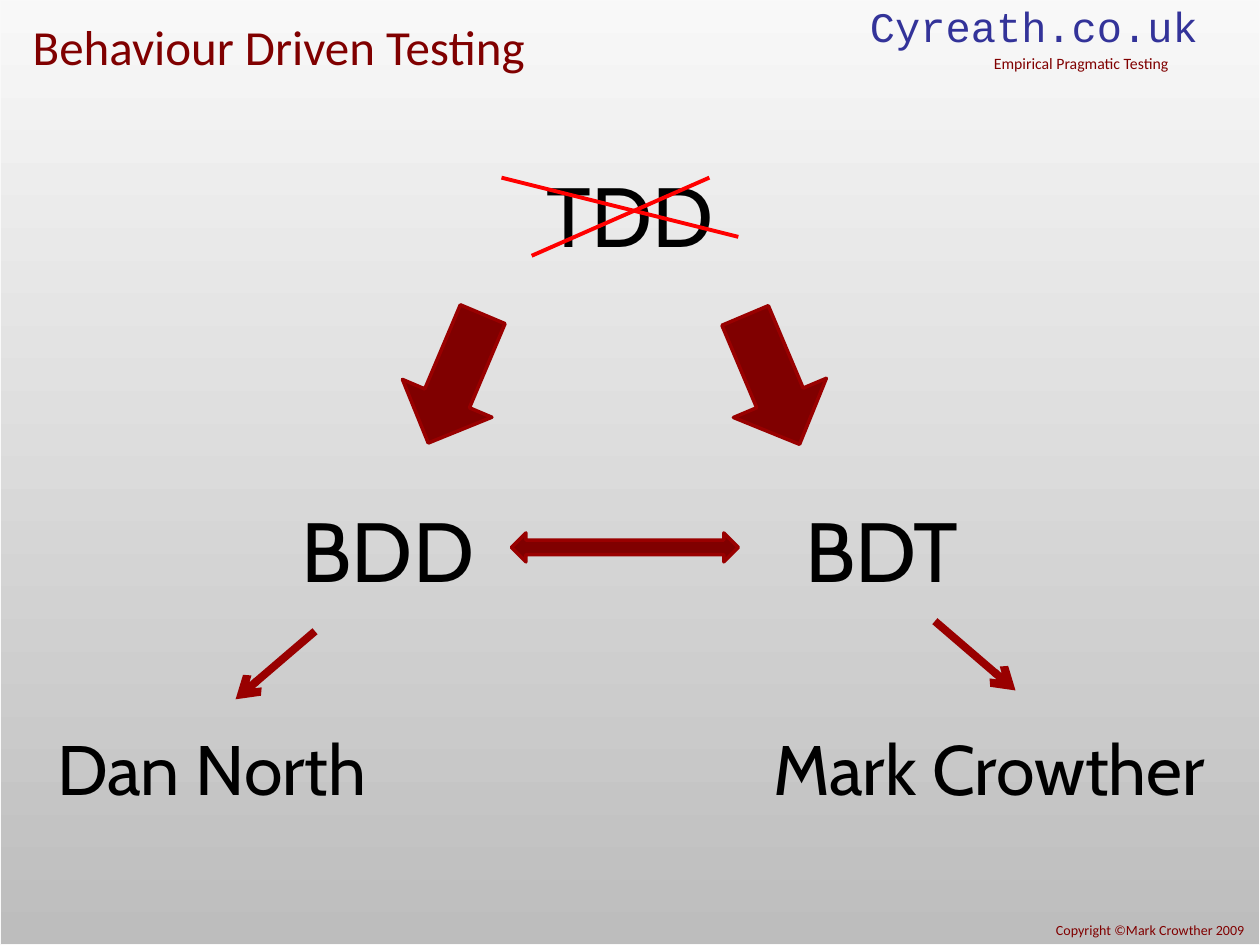
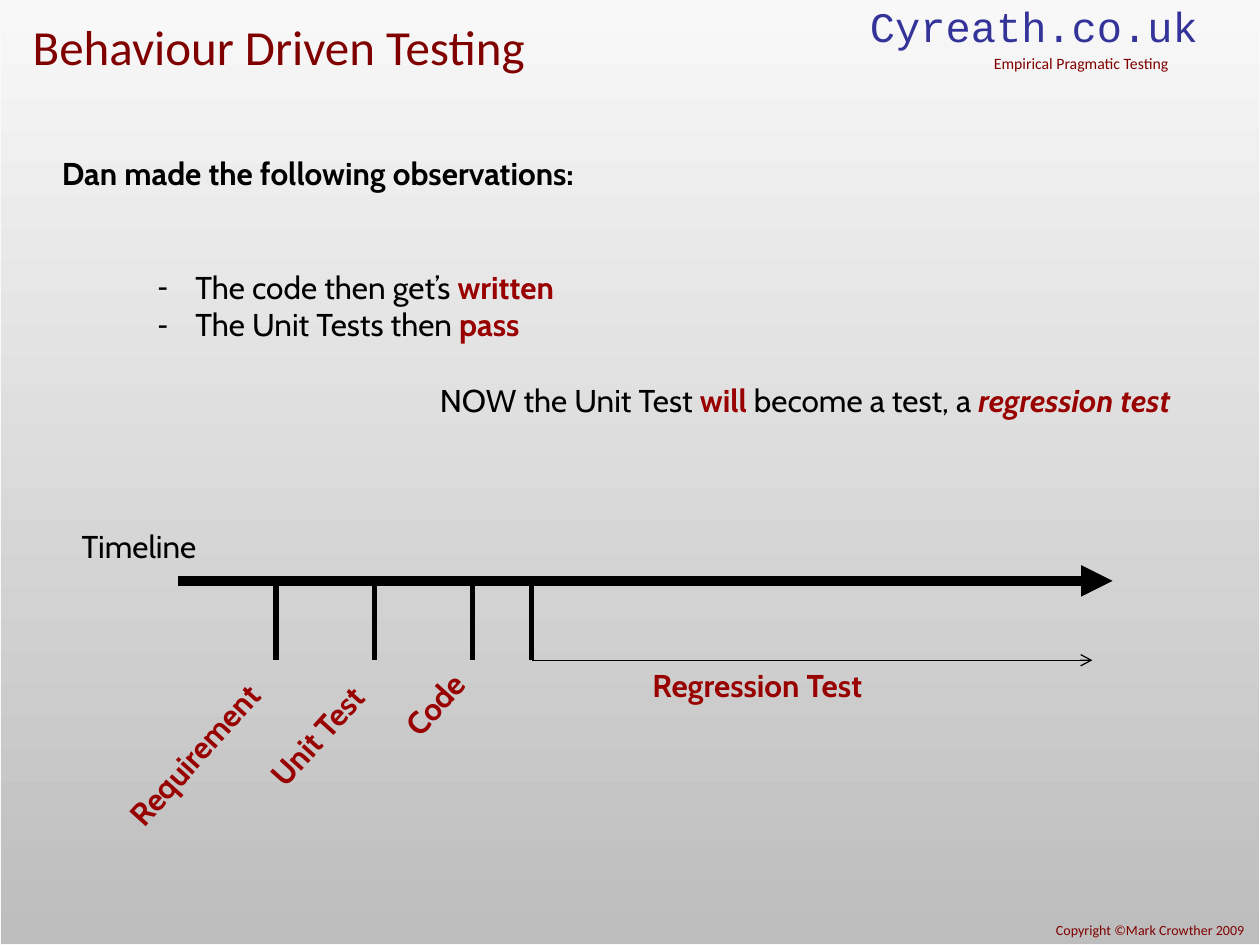
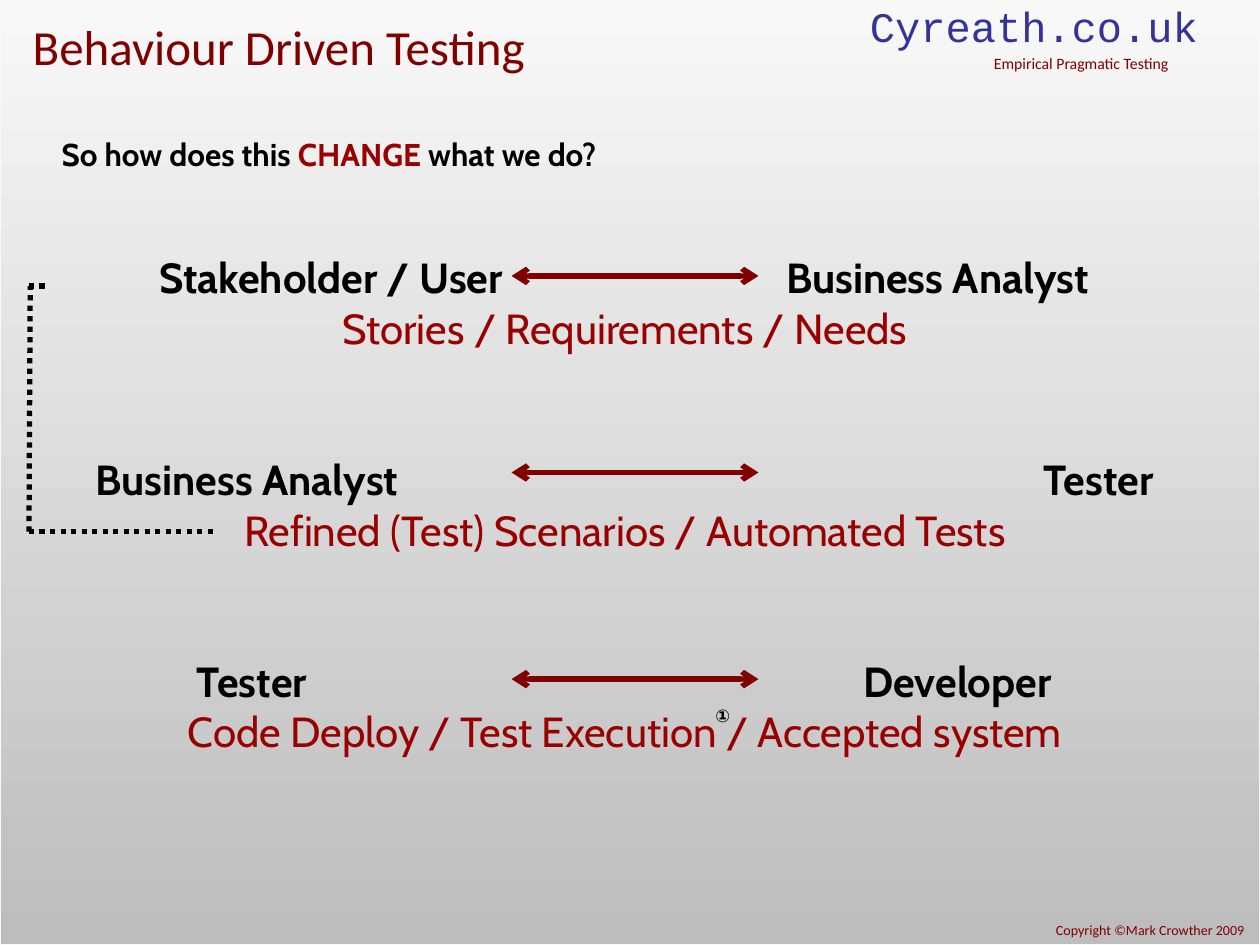
from lxml import etree
from pptx import Presentation
from pptx.dml.color import RGBColor
from pptx.enum.dml import MSO_LINE
from pptx.enum.shapes import MSO_CONNECTOR, MSO_SHAPE
from pptx.enum.text import MSO_ANCHOR, MSO_AUTO_SIZE, PP_ALIGN
from pptx.oxml.ns import qn
from pptx.util import Inches, Pt

LEFT, CENTER = PP_ALIGN.LEFT, PP_ALIGN.CENTER
DOTTED = MSO_LINE.ROUND_DOT
TITLE_ONLY, TITLE_AND_CONTENT = 5, 1

BLACK = RGBColor(0x00, 0x00, 0x00)
MAROON = RGBColor(0x80, 0x00, 0x00)
CRIMSON = RGBColor(0x99, 0x00, 0x00)
RED = RGBColor(0xFF, 0x00, 0x00)
INDIGO = RGBColor(0x33, 0x33, 0x99)
LIGHT = RGBColor(0xF8, 0xF8, 0xF8)
GREY = RGBColor(0xBD, 0xBD, 0xBD)
EDGE = RGBColor(0xF9, 0xF9, 0xF9)

BODY_FONT, HEAD_FONT = "Cabin", "Calibri"
SLIDE_SIZE = (10, 7.5)

# Shared by all slides
TITLE = "Behaviour Driven Testing"
TITLE_PLACE = (0.16, 0.08, 6.33, 0.57)
MASTER_TEXTS = [
    ("Copyright ©Mark Crowther 2009", (8.28, 7.28, 1.7, 0.22),
     {"size": 8, "font": HEAD_FONT, "color": MAROON}),
    ("Cyreath.co.uk", (6.17, 0, 4.07, 0.63),
     {"size": 24, "font": "Courier New", "color": INDIGO}),
    ("Empirical Pragmatic Testing", (6.85, 0.39, 3.46, 0.31),
     {"size": 9, "font": HEAD_FONT, "color": MAROON}),
]

# Slide 1: from TDD to BDD and BDT
NAMES = [
    ("BDD", (2.08, 3.91, 2, 0.9), 48),
    ("BDT", (6, 3.91, 2, 0.9), 48),
    ("TDD", (0, 1.25, 10, 0.9), 48),
    ("Dan North", (-0.08, 5.71, 3.52, 0.77), 40),
    ("Mark Crowther", (5.7, 5.71, 4.3, 0.77), 40),
]
CROSS_OUT = [(3.98, 1.41, 5.86, 1.88), (4.22, 2.03, 5.63, 1.41)]
BLOCK_ARROWS = [
    (MSO_SHAPE.DOWN_ARROW, (3.23, 2.45, 0.77, 1.11), 22.9),
    (MSO_SHAPE.DOWN_ARROW, (5.73, 2.46, 0.8, 1.11), -22.9),
    (MSO_SHAPE.LEFT_RIGHT_ARROW, (4.06, 4.23, 1.8, 0.23), 0),
]
AUTHOR_ARROWS = [(2.5, 5.01, 1.87, 5.55), (7.42, 4.93, 8.06, 5.48)]

# Slide 2: observations and timeline
KEY = {"color": CRIMSON, "bold": True}
DASH = {"margin": 1.06, "indent": -0.3, "bullet": "-"}
OBSERVATIONS = [
    (["Dan made the following observations:"], {"bold": True}),
    (["The code then get’s ", ("written", KEY)], {"before": 43.5, **DASH}),
    (["The Unit Tests then ", ("pass", KEY)], DASH),
    (["NOW the Unit Test ", ("will", KEY), " become a test, a ",
      ("regression test", {**KEY, "italic": True})],
     {"before": 21.6, "margin": 3}),
]
TIMELINE_Y, STEP_END_Y = 4.61, 5.24
STEP_XS = [2.19, 2.97, 3.75, 4.22]
STEP_LABELS = [
    ("Requirement", (0.67, 5.63, 2.03, 0.4)),
    ("Unit Test", (1.88, 5.51, 1.5, 0.4)),
    ("Code", (3.05, 5.34, 0.89, 0.4)),
]

# Slide 3: conversations, each role with its left edge and width
QUESTION = ["So how does this ", ("CHANGE", {"color": CRIMSON}), " what we do?"]
CONVERSATIONS = [
    ([("Stakeholder / User", 1.13, 3), ("Business Analyst", 6.09, 2.7)],
     "Stories / Requirements / Needs", 2.19),
    ([("Business Analyst", 0.61, 2.7), ("Tester", 8.12, 1.2)],
     "Refined (Test) Scenarios / Automated Tests", 3.75),
    ([("Tester", 1.4, 1.2), ("Developer", 6.65, 1.9)],
     "Code Deploy / Test Execution / Accepted system", 5.39),
]
ROLE_TOP, ROLE_HEIGHT, ROLE_PITCH = 1.95, 0.5, 1.6
BRACKET = [(0.23, 4.22, 1.72, 4.22), (0.23, 4.22, 0.24, 2.27),
           (0.23, 2.27, 0.39, 2.27)]


def inches(place):
    return [Inches(length) for length in place]


def add_xml(parent, tag, **attributes):
    return etree.SubElement(parent, qn(tag), attributes)


def write_para(para, spans, size=18, font=BODY_FONT, color=BLACK, bold=False,
               align=LEFT, before=0, spacing=None, margin=0, indent=0,
               bullet=None):
    """Fill a paragraph; a span is a text, or a text with its own format."""
    para.alignment = align
    para.space_before = Pt(before)
    if spacing:
        para.line_spacing = spacing
    properties = para._p.get_or_add_pPr()
    properties.set("marL", str(Inches(margin)))
    properties.set("indent", str(Inches(indent)))
    if bullet:
        add_xml(add_xml(properties, "a:buClr"), "a:srgbClr", val=str(BLACK))
        add_xml(properties, "a:buChar", char=bullet)
    else:
        add_xml(properties, "a:buNone")
    for item in spans:
        text, own = (item, {}) if isinstance(item, str) else item
        span = para.add_run()
        span.text = text
        span.font.name = font
        span.font.size = Pt(size)
        span.font.bold = own.get("bold", bold)
        span.font.italic = own.get("italic", False)
        span.font.color.rgb = own.get("color", color)


def write_frame(frame, paras):
    frame.word_wrap = True
    frame.auto_size = MSO_AUTO_SIZE.NONE
    frame.vertical_anchor = MSO_ANCHOR.TOP
    for index, (spans, style) in enumerate(paras):
        para = frame.add_paragraph() if index else frame.paragraphs[0]
        write_para(para, spans, **style)


def add_text(page, spans, place, rotation=0, **style):
    box = page.shapes.add_textbox(*inches(place))
    box.rotation = rotation
    write_frame(box.text_frame, [([spans] if isinstance(spans, str) else spans, style)])
    return box


def fill_placeholder(holder, place, paras):
    holder.left, holder.top, holder.width, holder.height = inches(place)
    write_frame(holder.text_frame, paras)


def add_page(deck, layout):
    page = deck.slides.add_slide(deck.slide_layouts[layout])
    fill_placeholder(page.shapes.title, TITLE_PLACE,
                     [([TITLE], {"size": 28, "font": HEAD_FONT, "color": MAROON})])
    return page


def add_block(page, kind, place, line_color, line_width):
    block = page.shapes.add_shape(kind, *inches(place))
    block.shadow.inherit = False
    block.line.color.rgb = line_color
    block.line.width = Pt(line_width)
    return block


def add_line(page, ends, color, width, dash=None, head=None, tail=None):
    line = page.shapes.add_connector(MSO_CONNECTOR.STRAIGHT, *inches(ends))
    line.line.color.rgb = color
    line.line.width = Pt(width)
    if dash:
        line.line.dash_style = dash
    outline = line.line._get_or_add_ln()
    for tag, kind in (("a:headEnd", head), ("a:tailEnd", tail)):
        if kind:
            add_xml(outline, tag, type=kind)
    add_xml(line.element.spPr, "a:effectLst")


def furnish_master(deck, page):
    """Make the shared shapes on a page, then move them to the slide master."""
    backdrop = add_block(page, MSO_SHAPE.RECTANGLE, (0, 0, *SLIDE_SIZE), EDGE, 0.75)
    backdrop.fill.gradient()
    backdrop.fill.gradient_angle = 90
    for stop, color in zip(backdrop.fill.gradient_stops, (GREY, LIGHT)):
        stop.color.rgb = color
    texts = [add_text(page, text, place, align=CENTER, spacing=0.9, **style)
             for text, place, style in MASTER_TEXTS]
    texts[0].text_frame.word_wrap = False
    for number, shape in enumerate([backdrop, *texts], start=100):
        shape.element.nvSpPr.cNvPr.set("id", str(number))
        deck.slide_master.shapes.element.append(shape.element)


def draw_approaches(page):
    for name, place, size in NAMES:
        add_text(page, name, place, size=size, align=CENTER)
    for kind, place, rotation in BLOCK_ARROWS:
        arrow = add_block(page, kind, place, CRIMSON, 2)
        arrow.fill.solid()
        arrow.fill.fore_color.rgb = MAROON
        arrow.rotation = rotation
    for ends in CROSS_OUT:
        add_line(page, ends, RED, 2.25)
    for ends in AUTHOR_ARROWS:
        add_line(page, ends, CRIMSON, 4.5, tail="arrow")


def draw_observations(page):
    fill_placeholder(page.placeholders[1], (0.39, 1.17, 9.14, 2.8), OBSERVATIONS)
    add_line(page, (1.41, TIMELINE_Y, 8.83, TIMELINE_Y), BLACK, 6, tail="triangle")
    for x in STEP_XS:
        add_line(page, (x, TIMELINE_Y, x, STEP_END_Y), BLACK, 3)
    add_line(page, (STEP_XS[-1], STEP_END_Y, 8.67, STEP_END_Y), BLACK, 0.75,
             tail="arrow")
    for label, place in STEP_LABELS:
        add_text(page, label, place, rotation=312, **KEY)
    add_text(page, "Regression Test", (5.08, 5.24, 2.34, 0.4), **KEY)
    add_text(page, "Timeline", (0.55, 4.13, 1.17, 0.7))


def draw_conversations(page):
    add_text(page, QUESTION, (0.39, 1.02, 9.14, 0.4), bold=True)
    topics = []
    for row, (roles, topic, arrow_y) in enumerate(CONVERSATIONS):
        top = ROLE_TOP + row * ROLE_PITCH
        for role, left, width in roles:
            add_text(page, role, (left, top, width, ROLE_HEIGHT), size=24,
                     bold=True, align=CENTER)
        topics.append(([topic], {"size": 24, "color": CRIMSON, "align": CENTER,
                                 "before": 86.4 if row else 0}))
        add_line(page, (4.06, arrow_y, 6.02, arrow_y), MAROON, 3,
                 head="arrow", tail="arrow")
    fill_placeholder(page.placeholders[1], (0.39, 2.35, 9.14, 3.7), topics)
    for ends in BRACKET:
        add_line(page, ends, BLACK, 3, dash=DOTTED)
    add_text(page, "①", (5.58, 5.55, 0.47, 0.27), size=10, font="Arial", bold=True)


def main():
    deck = Presentation()
    deck.slide_width, deck.slide_height = inches(SLIDE_SIZE)
    first_page = add_page(deck, TITLE_ONLY)
    furnish_master(deck, first_page)
    draw_approaches(first_page)
    draw_observations(add_page(deck, TITLE_AND_CONTENT))
    draw_conversations(add_page(deck, TITLE_AND_CONTENT))
    deck.save("out.pptx")


if __name__ == "__main__":
    main()
